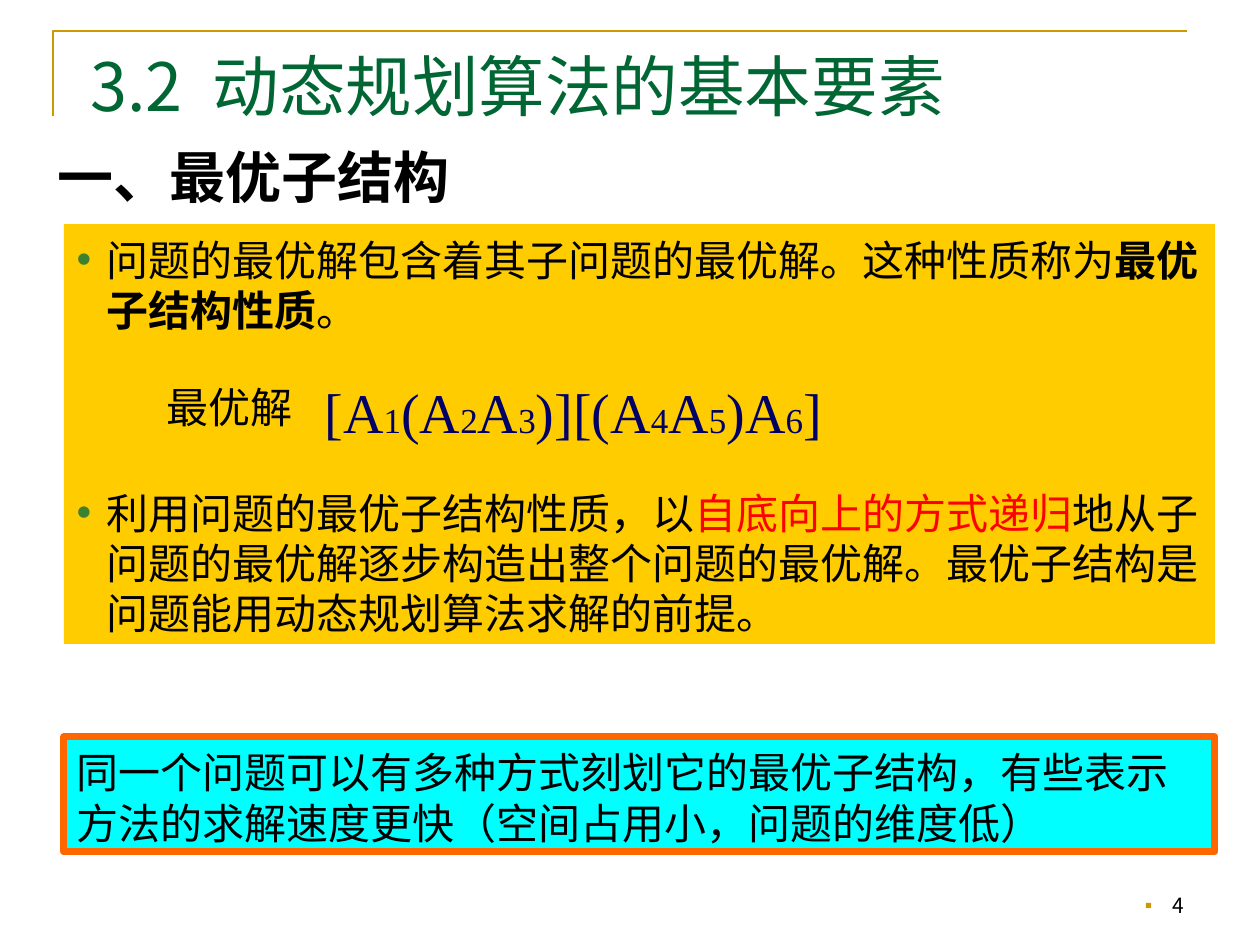
from dataclasses import dataclass

from lxml.etree import SubElement
from pptx import Presentation
from pptx.dml.color import RGBColor
from pptx.enum.text import MSO_ANCHOR, MSO_AUTO_SIZE, PP_ALIGN
from pptx.oxml.ns import qn
from pptx.shapes.base import BaseShape
from pptx.util import Pt

SCALE = 914400 / 126
SANS = "Noto Sans CJK SC"
SERIF = "Times New Roman"
COLORS = {
    "black": "000000", "title": "006633", "gold": "CC9900",
    "panel": "FFCC00", "note": "00FFFF", "border": "FF6600",
    "bullet": "3B812F", "red": "FF0000", "formula": "000066",
}


@dataclass
class Piece:
    text: str
    color: str | None = None
    bold: bool | None = None
    size: int | None = None


@dataclass
class Bullet:
    character: str
    color: str
    indent: int


@dataclass
class Line:
    pieces: list[Piece]
    size: int = 24
    color: str = "black"
    bold: bool = False
    font: str = SANS
    align: PP_ALIGN = PP_ALIGN.LEFT
    bullet: Bullet | None = None
    before: int = 0
    exact: bool = True


@dataclass
class Box:
    left: int
    top: int
    width: int
    height: int
    lines: list[Line]
    fill: str | None = None
    border: str | None = None
    anchor: MSO_ANCHOR = MSO_ANCHOR.TOP
    margin_top: int = 6
    margin_bottom: int = 6


def px(value: float) -> int:
    return round(value * SCALE)


def rgb(name: str) -> RGBColor:
    return RGBColor.from_string(COLORS[name])


def add_bullet(paragraph, bullet: Bullet) -> None:
    properties = paragraph._p.get_or_add_pPr()
    properties.set("marL", str(px(bullet.indent)))
    properties.set("indent", str(-px(bullet.indent)))
    color = SubElement(properties, qn("a:buClr"))
    SubElement(color, qn("a:srgbClr"), val=COLORS[bullet.color])
    SubElement(properties, qn("a:buFont"), typeface="Arial")
    SubElement(properties, qn("a:buChar"), char=bullet.character)


def write_line(paragraph, line: Line) -> None:
    paragraph.alignment = line.align
    paragraph.space_before = Pt(line.before)
    if line.exact:
        paragraph.line_spacing = Pt(line.size * 1.2)
    if line.bullet:
        add_bullet(paragraph, line.bullet)
    font = paragraph.font
    font.size = Pt(line.size)
    font.bold = line.bold
    font.color.rgb = rgb(line.color)
    font.name = line.font
    defaults = paragraph._p.pPr.find(qn("a:defRPr"))
    SubElement(defaults, qn("a:ea"), typeface=line.font)
    for piece in line.pieces:
        run = paragraph.add_run()
        run.text = piece.text
        if piece.color:
            run.font.color.rgb = rgb(piece.color)
        if piece.bold is not None:
            run.font.bold = piece.bold
        if piece.size:
            run.font.size = Pt(piece.size)


def fill_box(shape: BaseShape, box: Box) -> None:
    shape.left, shape.top = px(box.left), px(box.top)
    shape.width, shape.height = px(box.width), px(box.height)
    if box.fill:
        shape.fill.solid()
        shape.fill.fore_color.rgb = rgb(box.fill)
    if box.border:
        shape.line.color.rgb = rgb(box.border)
        shape.line.width = Pt(4)
    frame = shape.text_frame
    frame.word_wrap = True
    frame.auto_size = MSO_AUTO_SIZE.NONE
    frame.vertical_anchor = box.anchor
    frame.margin_top = px(box.margin_top)
    frame.margin_bottom = px(box.margin_bottom)
    for index, line in enumerate(box.lines):
        paragraph = frame.add_paragraph() if index else frame.paragraphs[0]
        write_line(paragraph, line)


def add_corner(slide) -> None:
    builder = slide.shapes.build_freeform(53, 116, scale=SCALE)
    builder.add_line_segments([(53, 31), (1187, 31)], close=False)
    corner = builder.convert_to_shape()
    corner.shadow.inherit = False
    corner.fill.background()
    corner.line.color.rgb = rgb("gold")
    corner.line.width = Pt(1.5)


def formula_pieces() -> list[Piece]:
    terms = ["[A", "(A", "A", ")][(A", "A", ")A"]
    pieces = []
    for number, term in enumerate(terms, start=1):
        pieces += [Piece(term), Piece(str(number), size=20)]
    return pieces + [Piece("]")]


def main() -> None:
    presentation = Presentation()
    presentation.slide_width, presentation.slide_height = px(1260), px(945)
    slide = presentation.slides.add_slide(presentation.slide_layouts[1])
    add_corner(slide)

    title = Line([Piece("3.2 动态规划算法的基本要素")], 38, "title", exact=False)
    fill_box(slide.shapes.title, Box(
        78, 15, 973, 110, [title], anchor=MSO_ANCHOR.BOTTOM, margin_bottom=0))
    title_runs = slide.shapes.title.text_frame.paragraphs[0].runs
    title_runs[0].text = "3.2"
    for text in (" ", "动态规划算法的基本要素"):
        slide.shapes.title.text_frame.paragraphs[0].add_run().text = text
    gap = slide.shapes.title.text_frame.paragraphs[0].runs[1]
    gap._r.get_or_add_rPr().set("spc", "850")

    dot = Bullet("•", "bullet", 30)
    property_line = Line([
        Piece("问题的最优解包含着其子问题的最优解。这种性质称为"),
        Piece("最优子结构性质", bold=True),
        Piece("。"),
    ], bullet=dot)
    method_line = Line([
        Piece("利用问题的最优子结构性质，以"),
        Piece("自底向上的方式递归", color="red"),
        Piece("地从子问题的最优解逐步构造出整个问题的最优解。"
              "最优子结构是问题能用动态规划算法求解的前提。"),
    ], bullet=dot, before=87)
    fill_box(slide.placeholders[1], Box(
        64, 224, 1151, 420, [property_line, method_line], "panel", margin_top=10))

    note = Line([Piece("同一个问题可以有多种方式刻划它的最优子结构，有些表示方法的"
                       "求解速度更快（空间占用小，问题的维度低）")])
    heading = Line([Piece("一、最优子结构")], 32, bold=True)
    formula = Line(formula_pieces(), 32, "formula", font=SERIF, exact=False)
    page_number = Line([Piece("4")], 12, align=PP_ALIGN.RIGHT,
                       bullet=Bullet("▪", "gold", 28), exact=False)
    boxes = [
        Box(45, 131, 440, 79, [heading], margin_top=11),
        Box(64, 737, 1151, 115, [note], "note", "border", margin_top=10),
        Box(154, 372, 156, 63, [Line([Piece("最优解")])], margin_top=10),
        Box(312, 372, 560, 77, [formula]),
        Box(903, 861, 294, 63, [page_number], anchor=MSO_ANCHOR.BOTTOM),
    ]
    for box in boxes:
        shape = slide.shapes.add_textbox(0, 0, px(box.width), px(box.height))
        fill_box(shape, box)

    presentation.save("out.pptx")


if __name__ == "__main__":
    main()
